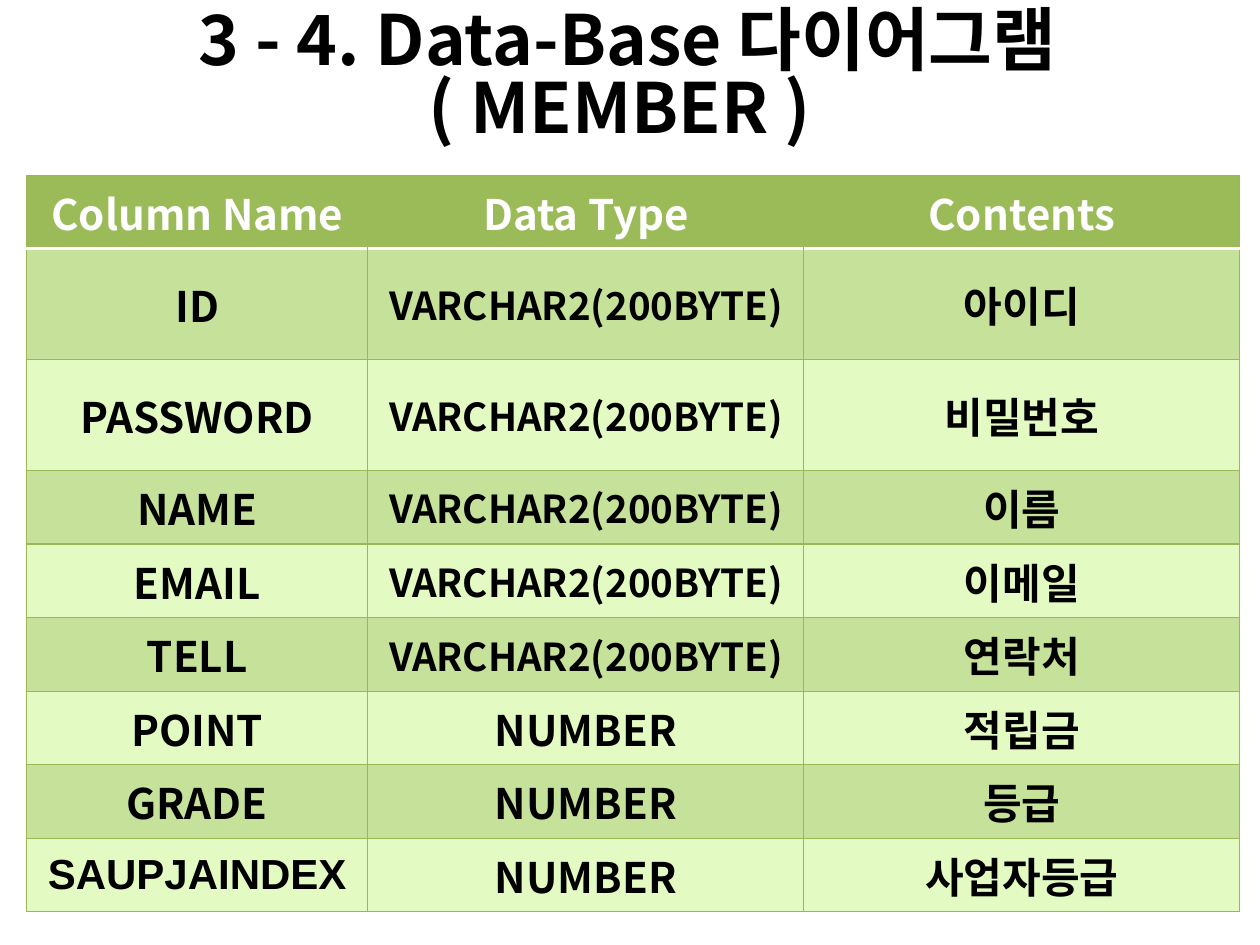
from lxml.etree import SubElement
from pptx import Presentation
from pptx.dml.color import RGBColor
from pptx.enum.text import MSO_ANCHOR, MSO_AUTO_SIZE, PP_ALIGN
from pptx.oxml.ns import qn
from pptx.util import Inches, Pt

FONT = "Noto Sans CJK KR"
BLACK = RGBColor(0x00, 0x00, 0x00)
WHITE = RGBColor(0xFF, 0xFF, 0xFF)
GREEN = RGBColor(0x9B, 0xBB, 0x59)
BAND_DARK = RGBColor(0xC6, 0xE1, 0x99)
BAND_LIGHT = RGBColor(0xE3, 0xFB, 0xC3)
BORDER = RGBColor(0x98, 0xB9, 0x55)

TEXT_TYPE = "VARCHAR2(200BYTE)"
HEADER = ("Column Name", "Data Type", "Contents")
FIELDS = [
    ("ID", TEXT_TYPE, "아이디"),
    ("PASSWORD", TEXT_TYPE, "비밀번호"),
    ("NAME", TEXT_TYPE, "이름"),
    ("EMAIL", TEXT_TYPE, "이메일"),
    ("TELL", TEXT_TYPE, "연락처"),
    ("POINT", "NUMBER", "적립금"),
    ("GRADE", "NUMBER", "등급"),
    ("SAUPJAINDEX", "NUMBER", "사업자등급"),
]
COL_WIDTHS = (2.71, 3.46, 3.46)
ROW_HEIGHTS = (0.54, 0.88, 0.88) + (0.54,) * 6


def format_paragraph(p, size, color, name=FONT):
    p.alignment = PP_ALIGN.CENTER
    for r in p.runs:
        for key, value in {"size": Pt(size), "bold": True, "name": name}.items():
            setattr(r.font, key, value)
        r.font.color.rgb = color
        SubElement(r.font._element, qn("a:ea"), typeface=name)


def set_border(cell, side, color=None, width=0.75):
    tc_pr = cell._tc.get_or_add_tcPr()
    ln = SubElement(tc_pr, qn(f"a:ln{side}"), w=str(Pt(width)))
    if color is None:
        SubElement(ln, qn("a:noFill"))
    else:
        fill = SubElement(ln, qn("a:solidFill"))
        SubElement(fill, qn("a:srgbClr"), val=str(color))


def add_title(slide, left, top, width, height):
    sp = slide.shapes.title
    box = {"left": left, "top": top, "width": width, "height": height}
    for key, value in box.items():
        setattr(sp, key, Inches(value))
    tf = sp.text_frame
    tf.auto_size = MSO_AUTO_SIZE.NONE
    tf.vertical_anchor = MSO_ANCHOR.MIDDLE
    p = tf.paragraphs[0]
    p.text = "3 - 4. Data-Base 다이어그램\v( MEMBER ) "
    p.line_spacing = 0.82
    format_paragraph(p, 39.6, BLACK)


def format_cell(cell, text, row, col):
    is_header = row == 0
    last_col = len(COL_WIDTHS) - 1
    cell.text = text
    cell.vertical_anchor = MSO_ANCHOR.MIDDLE
    format_paragraph(
        cell.text_frame.paragraphs[0],
        22 if text == TEXT_TYPE else 24,
        WHITE if is_header else BLACK,
        "Arial" if text == "SAUPJAINDEX" else FONT,
    )
    set_border(cell, "L", None if is_header and col > 0 else BORDER)
    set_border(cell, "R", None if is_header and col < last_col else BORDER)
    if row == 1:
        set_border(cell, "T", WHITE, 2)
    else:
        set_border(cell, "T", BORDER)
    if is_header:
        set_border(cell, "B", WHITE, 2)
    else:
        set_border(cell, "B", BORDER)
    cell.fill.solid()
    band = BAND_DARK if row % 2 else BAND_LIGHT
    cell.fill.fore_color.rgb = GREEN if is_header else band


def add_field_table(slide, left, top):
    rows = [HEADER] + FIELDS
    frame = slide.shapes.add_table(
        len(rows), len(COL_WIDTHS), Inches(left), Inches(top),
        Inches(sum(COL_WIDTHS)), Inches(sum(ROW_HEIGHTS)),
    )
    table = frame.table
    for column, width in zip(table.columns, COL_WIDTHS):
        column.width = Inches(width)
    for i, (texts, height) in enumerate(zip(rows, ROW_HEIGHTS)):
        table.rows[i].height = Inches(height)
        for j, text in enumerate(texts):
            format_cell(table.cell(i, j), text, i, j)


def main():
    prs = Presentation()
    prs.slide_width = Inches(10)
    prs.slide_height = Inches(7.5)
    slide = prs.slides.add_slide(prs.slide_layouts[5])
    add_title(slide, 0.48, 0, 9, 1.25)
    add_field_table(slide, 0.21, 1.39)
    prs.save("out.pptx")


if __name__ == "__main__":
    main()
